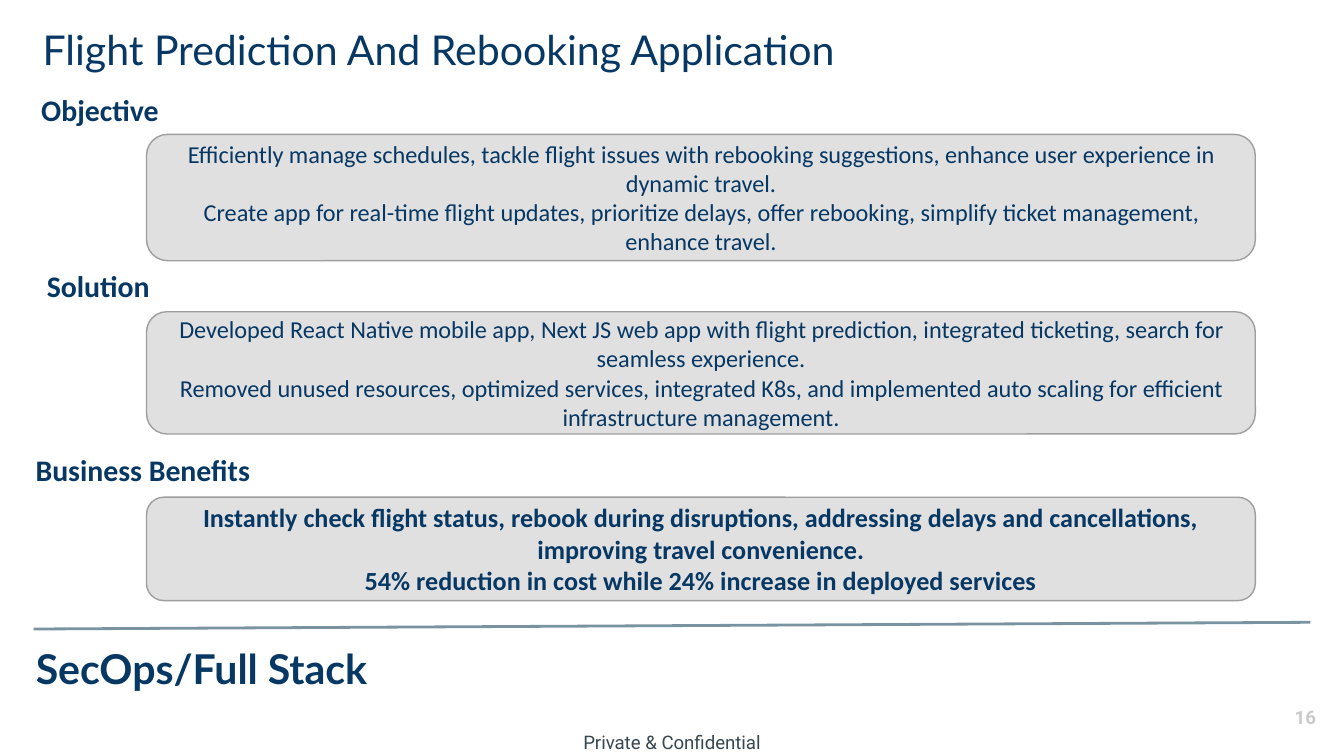
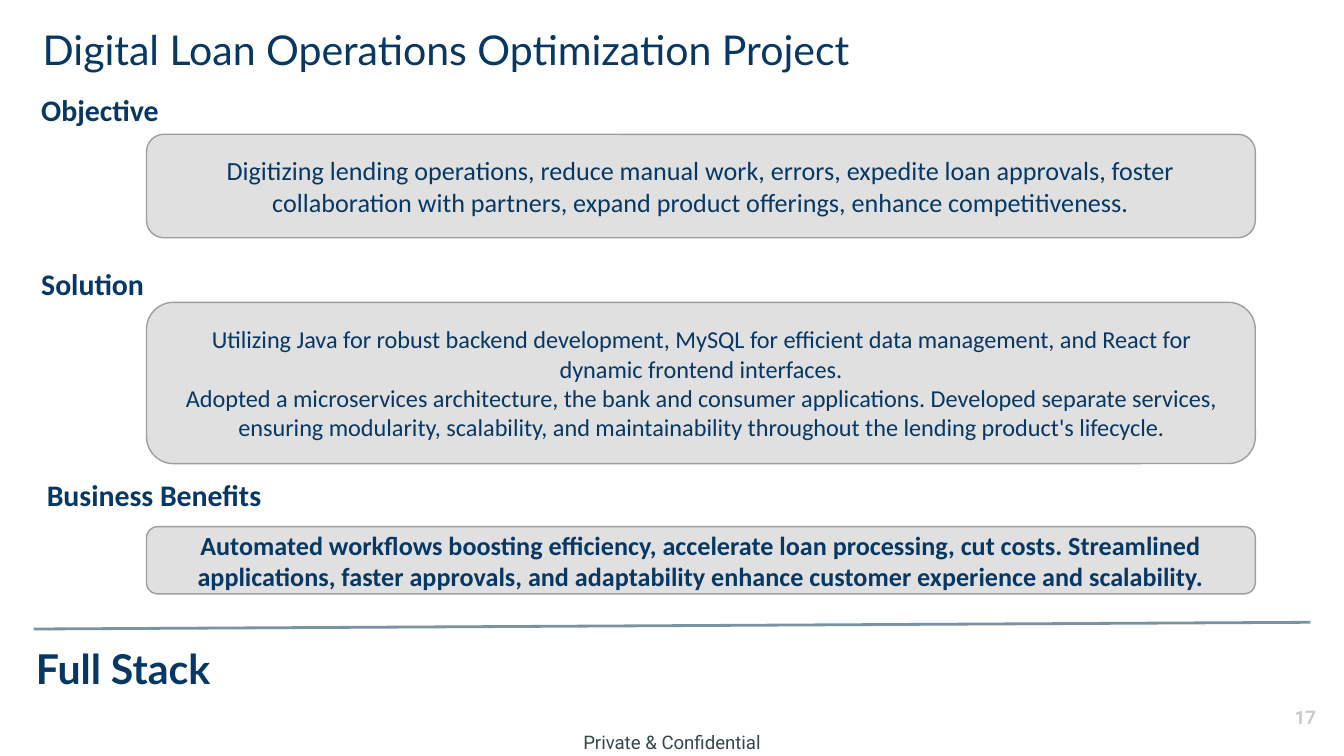
from collections import namedtuple

from lxml.etree import SubElement
from pptx import Presentation
from pptx.dml.color import RGBColor
from pptx.enum.shapes import MSO_CONNECTOR, MSO_SHAPE
from pptx.enum.text import MSO_ANCHOR, MSO_AUTO_SIZE, PP_ALIGN
from pptx.oxml.ns import qn
from pptx.util import Pt

# Shared look
NAVY, SLATE, RULE = "073763", "37474F", "7A93A1"
CARD_FILL, CARD_LINE, PALE = "E0E0E0", "9E9E9E", "CACACA"
TITLE = {"name": "Lato", "size": 22, "color": NAVY, "bold": False}
LABEL = {"name": "Calibri", "size": 16, "color": NAVY, "bold": True}
BODY = {"name": "Calibri", "size": 14, "color": NAVY, "bold": False}
SMALL_BODY = BODY | {"size": 13}
BOLD_BODY = BODY | {"bold": True}
FOOTER = {"name": "Roboto", "size": 10, "color": SLATE, "bold": False}
NUMBER = FOOTER | {"color": PALE, "bold": True}
INSET = 7.2
CARD_LEFT, CARD_WIDTH = 78.5, 594

Box = namedtuple("Box", "left top width height")
Section = namedtuple("Section", "label label_box label_inset card_top card_height style lines")

PROJECTS = [
    {
        "title": "Flight Prediction And Rebooking Application",
        "title_width": 477.4,
        "team": "SecOps/Full Stack",
        "number": "16",
        "sections": [
            Section("Objective", Box(15, 45.4, 654.5, 26.6), 3.6, 72, 67.7, SMALL_BODY, [
                "Efficiently manage schedules, tackle flight issues with rebooking suggestions, "
                "enhance user experience in dynamic travel.",
                "Create app for real-time flight updates, prioritize delays, offer rebooking, "
                "simplify ticket management, enhance travel.",
            ]),
            Section("Solution", Box(18, 139.7, 648.7, 26.6), 3.6, 167, 65.5, SMALL_BODY, [
                "Developed React Native mobile app, Next JS web app with flight prediction, "
                "integrated ticketing, search for seamless experience.",
                "Removed unused resources, optimized services, integrated K8s, and implemented "
                "auto scaling for efficient infrastructure management.",
            ]),
            Section("Business Benefits", Box(12, 234.7, 140.4, 33.8), INSET, 266.4, 55.4, BOLD_BODY, [
                "Instantly check flight status, rebook during disruptions, addressing delays "
                "and cancellations, improving travel convenience.",
                "54% reduction in cost while 24% increase in deployed services",
            ]),
        ],
    },
    {
        "title": "Digital Loan Operations Optimization Project",
        "title_width": 486.7,
        "team": "Full Stack",
        "number": "17",
        "sections": [
            Section("Objective", Box(15, 45.4, 654.5, 26.6), 3.6, 72, 55.4, BODY, [
                "Digitizing lending operations, reduce manual work, errors, expedite loan "
                "approvals, foster collaboration with partners, expand product offerings, "
                "enhance competitiveness.",
            ]),
            Section("Solution", Box(15, 139, 648.7, 26.6), 3.6, 162, 86.4, SMALL_BODY, [
                "Utilizing Java for robust backend development, MySQL for efficient data "
                "management, and React for dynamic frontend interfaces.",
                "Adopted a microservices architecture, the bank and consumer applications. "
                "Developed separate services, ensuring modularity, scalability, and "
                "maintainability throughout the lending product's lifecycle.",
            ]),
            Section("Business Benefits", Box(18, 248.4, 140.4, 33.8), INSET, 282.2, 36, BOLD_BODY, [
                "Automated workflows boosting efficiency, accelerate loan processing, cut "
                "costs. Streamlined applications, faster approvals, and adaptability enhance "
                "customer experience and scalability.",
            ]),
        ],
    },
]


def rgb(value):
    return RGBColor.from_string(value)


def in_points(box):
    return [Pt(length) for length in box]


def write(shape, lines, style, align=PP_ALIGN.LEFT, anchor=MSO_ANCHOR.TOP, inset=INSET):
    frame = shape.text_frame
    frame.text = "\n".join(lines)
    settings = {
        "word_wrap": True, "auto_size": MSO_AUTO_SIZE.NONE, "vertical_anchor": anchor,
        "margin_left": Pt(INSET), "margin_right": Pt(INSET),
        "margin_top": Pt(inset), "margin_bottom": Pt(inset),
    }
    for key, value in settings.items():
        setattr(frame, key, value)
    for para in frame.paragraphs:
        para.alignment = align
        para.line_spacing = 1.0
        for span in para.runs:
            span.font.color.rgb = rgb(style["color"])
            span.font.size = Pt(style["size"])
            for key in ("name", "bold"):
                setattr(span.font, key, style[key])


def add_text(page, box, text, style, **layout):
    write(page.shapes.add_textbox(*in_points(box)), [text], style, **layout)


def add_section(page, section):
    """Draw a heading and the rounded card below it."""
    add_text(page, section.label_box, section.label, LABEL, inset=section.label_inset)
    box = Box(CARD_LEFT, section.card_top, CARD_WIDTH, section.card_height)
    card = page.shapes.add_shape(MSO_SHAPE.ROUNDED_RECTANGLE, *in_points(box))
    card.shadow.inherit = False
    card.fill.solid()
    card.fill.fore_color.rgb = rgb(CARD_FILL)
    card.line.color.rgb = rgb(CARD_LINE)
    card.line.width = Pt(0.75)
    write(card, section.lines, section.style, PP_ALIGN.CENTER, MSO_ANCHOR.MIDDLE)


def add_footer(page, box, team, number):
    """Draw the rule, team name, confidentiality note and page number."""
    ends = (box.left + 18, box.top + 3.6, box.left + box.width - 18, box.top)
    rule = page.shapes.add_connector(MSO_CONNECTOR.STRAIGHT, *in_points(ends))
    rule.line.color.rgb = rgb(RULE)
    rule.line.width = Pt(1.5)
    SubElement(rule._element.spPr, qn("a:effectLst"))

    heading = page.shapes.title
    place = Box(box.left + 12, box.top + 4.3, 236.2, 31.7)
    for key, value in zip(Box._fields, in_points(place)):
        setattr(heading, key, value)
    write(heading, [team], TITLE | {"bold": True})

    note_width = 151.2
    note = Box(box.left + (box.width - note_width) / 2, box.top + 51.1, note_width, 20.2)
    add_text(page, note, "Private & Confidential", FOOTER, align=PP_ALIGN.CENTER)
    corner = Box(box.left + box.width - 51.1, box.top + 35.2, 43.2, 31)
    add_text(page, corner, number, NUMBER, align=PP_ALIGN.RIGHT, anchor=MSO_ANCHOR.MIDDLE)


def add_project(deck, project):
    page = deck.slides.add_slide(deck.slide_layouts[5])
    add_text(page, Box(15.8, 5.8, project["title_width"], 41), project["title"], TITLE)
    for section in project["sections"]:
        add_section(page, section)
    add_footer(page, Box(0, 333.4, 720, 71.6), project["team"], project["number"])


def main():
    deck = Presentation()
    deck.slide_width, deck.slide_height = Pt(720), Pt(405)
    for project in PROJECTS:
        add_project(deck, project)
    deck.save("out.pptx")


if __name__ == "__main__":
    main()
